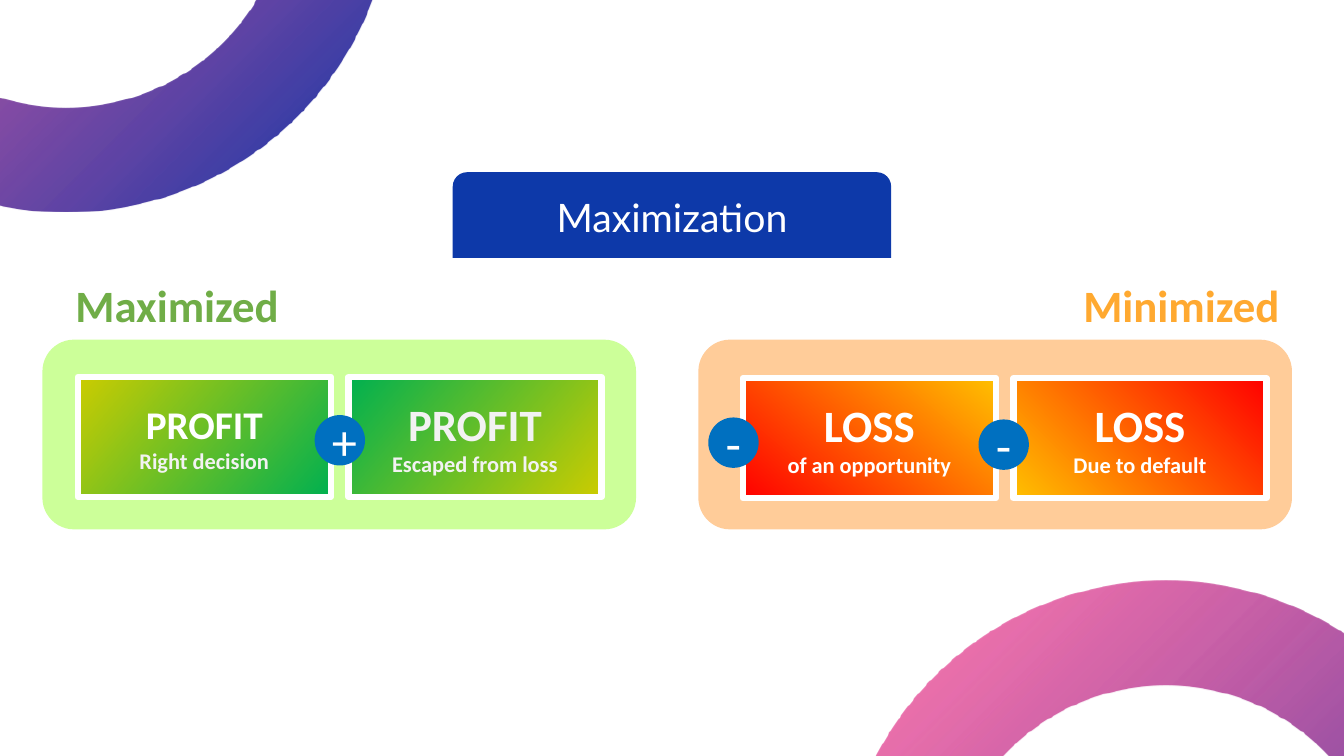
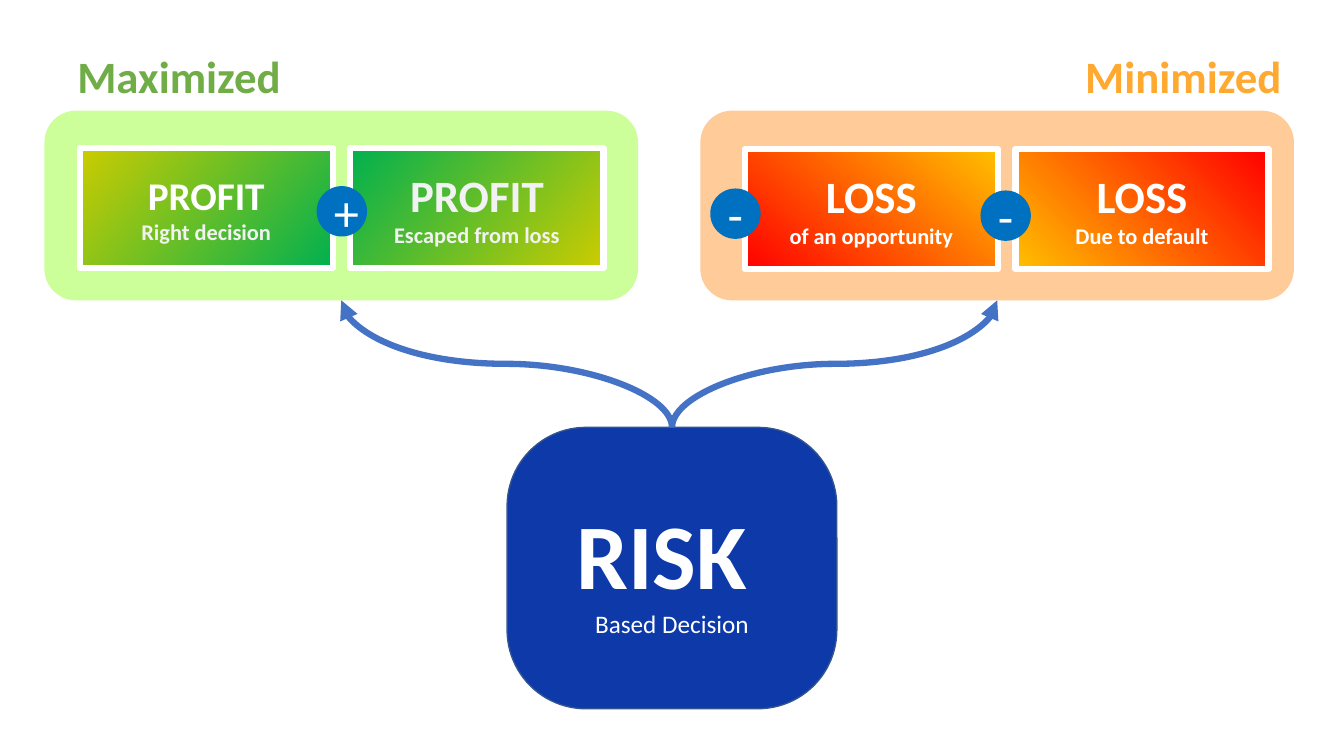
"""Build two slides that weigh maximized profit against minimized loss."""
from dataclasses import dataclass
from typing import Optional, Union

from lxml import etree
from pptx import Presentation
from pptx.dml.color import RGBColor
from pptx.enum.shapes import MSO_CONNECTOR, MSO_SHAPE
from pptx.enum.text import MSO_ANCHOR, MSO_AUTO_SIZE, PP_ALIGN
from pptx.oxml.ns import qn
from pptx.shapes.autoshape import Shape
from pptx.slide import Slide
from pptx.text.text import TextFrame
from pptx.util import Cm, Pt

RECTANGLE = MSO_SHAPE.RECTANGLE
ROUNDED = MSO_SHAPE.ROUNDED_RECTANGLE
ROUND_TOP = MSO_SHAPE.ROUND_2_SAME_RECTANGLE
CIRCLE = MSO_SHAPE.OVAL
RING = MSO_SHAPE.DONUT
CURVE = MSO_CONNECTOR.CURVE
LEFT, CENTER = PP_ALIGN.LEFT, PP_ALIGN.CENTER
MIDDLE = MSO_ANCHOR.MIDDLE
GROW = MSO_AUTO_SIZE.SHAPE_TO_FIT_TEXT
TOP_SITE, BOTTOM_SITE = 0, 2
BLANK_LAYOUT = 6


@dataclass(frozen=True)
class Gradient:
    start: str
    end: str
    angle: int
    end_position: float = 1.0
    start_opacity: int = 100


@dataclass(frozen=True)
class Theme:
    font: str = "Calibri"
    banner_font: str = "Lato"
    white: str = "FFFFFF"
    off_white: str = "F2F2F2"
    navy: str = "0D39A9"
    navy_edge: str = "325491"
    badge: str = "0070C0"
    arrow: str = "4472C4"
    profit_panel: str = "CCFF99"
    profit_heading: str = "70AD47"
    loss_panel: str = "FFCC99"
    loss_heading: str = "FFA930"
    ring: Gradient = Gradient("FF0066", "0D39A9", 315, 0.99, 50)
    risk_size: int = 66
    badge_size: int = 36
    heading_size: int = 32
    small_heading_size: int = 28
    note_size: int = 18
    detail_size: int = 16
    thick: float = 4.5


THEME = Theme()
Fill = Union[str, Gradient]


@dataclass(frozen=True)
class Box:
    left: float
    top: float
    width: float
    height: float

    def lengths(self) -> tuple[Cm, Cm, Cm, Cm]:
        return Cm(self.left), Cm(self.top), Cm(self.width), Cm(self.height)


@dataclass(frozen=True)
class Card:
    title: str
    detail: str
    fill: Gradient
    title_size: int = THEME.heading_size
    title_color: str = THEME.white
    detail_color: str = THEME.white


@dataclass(frozen=True)
class Badge:
    sign: str
    left: float
    top: float


@dataclass(frozen=True)
class Panel:
    left: float
    color: str
    heading: str
    heading_color: str
    heading_left: float
    heading_width: float
    card_left: float
    card_top: float
    cards: tuple[Card, ...]
    badges: tuple[Badge, ...]


SLIDE_WIDTH, SLIDE_HEIGHT = 33.87, 19.05
PANEL_WIDTH, PANEL_HEIGHT = 14.96, 4.78
CARD_WIDTH, CARD_HEIGHT, CARD_PITCH = 6.38, 3.02, 6.82
HEADING_RISE, HEADING_HEIGHT = 1.68, 1.63
BADGE_DIAMETER = 1.27
RING_DIAMETER = 16.48
RING_CORNERS = ((-6.58, -11.15), (21.13, 14.63))
BANNER_WIDTH, RISK_WIDTH = 11.05, 8.31

PANELS = (
    Panel(
        1.07, THEME.profit_panel, "Maximized", THEME.profit_heading,
        heading_left=0.58, heading_width=5.69, card_left=0.89, card_top=0.94,
        cards=(
            Card("PROFIT", "Right decision", Gradient("CCCC00", "00B050", 320),
                 title_size=THEME.small_heading_size, detail_color=THEME.off_white),
            Card("PROFIT", "Escaped from loss", Gradient("CCCC00", "00B050", 140),
                 title_color=THEME.off_white, detail_color=THEME.off_white),
        ),
        badges=(Badge("+", 6.86, 1.9),),
    ),
    Panel(
        17.6, THEME.loss_panel, "Minimized", THEME.loss_heading,
        heading_left=9.45, heading_width=5.51, card_left=1.12, card_top=0.97,
        cards=(
            Card("LOSS", "of an opportunity", Gradient("FFC000", "FF0000", 230)),
            Card("LOSS", "Due to default", Gradient("FFC000", "FF0000", 45)),
        ),
        badges=(Badge("-", 0.25, 1.96), Badge("-", 7.06, 2.01)),
    ),
)


def rgb(color: str) -> RGBColor:
    return RGBColor.from_string(color)


def write(frame: TextFrame, text: str, *, size: int, color: str = THEME.white,
          font: str = THEME.font, bold: bool = False, align: PP_ALIGN = CENTER) -> None:
    first = frame.paragraphs[0]
    paragraph = frame.add_paragraph() if first.runs else first
    paragraph.alignment = align
    run = paragraph.add_run()
    run.text = text
    run.font.name = font
    run.font.size = Pt(size)
    run.font.bold = bold
    run.font.color.rgb = rgb(color)


def paint(shape: Shape, fill: Fill) -> None:
    if isinstance(fill, str):
        shape.fill.solid()
        shape.fill.fore_color.rgb = rgb(fill)
        return
    shape.fill.gradient()
    shape.fill.gradient_angle = fill.angle
    start, end = shape.fill.gradient_stops
    start.color.rgb, start.position = rgb(fill.start), 0
    end.color.rgb, end.position = rgb(fill.end), fill.end_position
    if fill.start_opacity < 100:
        start_color = shape._element.spPr.find(".//" + qn("a:srgbClr"))
        alpha = etree.SubElement(start_color, qn("a:alpha"))
        alpha.set("val", str(fill.start_opacity * 1000))


def add_figure(slide: Slide, kind: MSO_SHAPE, box: Box, fill: Fill, *,
               edge: Optional[str] = None, edge_width: float = 1,
               roundness: Optional[float] = None) -> Shape:
    shape = slide.shapes.add_shape(kind, *box.lengths())
    shape.shadow.inherit = False
    paint(shape, fill)
    if edge:
        shape.line.color.rgb = rgb(edge)
        shape.line.width = Pt(edge_width)
    else:
        shape.line.fill.background()
    if roundness is not None:
        shape.adjustments[0] = roundness
    shape.text_frame.vertical_anchor = MIDDLE
    return shape


def add_panel(slide: Slide, panel: Panel, shift: float, top: float) -> Shape:
    left = panel.left + shift
    backdrop = add_figure(slide, ROUNDED, Box(left, top, PANEL_WIDTH, PANEL_HEIGHT), panel.color)
    for index, card in enumerate(panel.cards):
        place = Box(left + panel.card_left + index * CARD_PITCH, top + panel.card_top,
                    CARD_WIDTH, CARD_HEIGHT)
        frame = add_figure(slide, RECTANGLE, place, card.fill,
                           edge=THEME.white, edge_width=THEME.thick).text_frame
        write(frame, card.title, size=card.title_size, color=card.title_color, bold=True)
        write(frame, card.detail, size=THEME.detail_size, color=card.detail_color, bold=True)
    for badge in panel.badges:
        place = Box(left + badge.left, top + badge.top, BADGE_DIAMETER, BADGE_DIAMETER)
        write(add_figure(slide, CIRCLE, place, THEME.badge).text_frame,
              badge.sign, size=THEME.badge_size)
    heading = Box(left + panel.heading_left, top - HEADING_RISE,
                  panel.heading_width, HEADING_HEIGHT)
    frame = slide.shapes.add_textbox(*heading.lengths()).text_frame
    frame.word_wrap = False
    frame.auto_size = GROW
    write(frame, panel.heading, size=THEME.heading_size, color=panel.heading_color,
          bold=True, align=LEFT)
    return backdrop


def add_arrow(slide: Slide, source: Shape, target: Shape) -> None:
    arrow = slide.shapes.add_connector(CURVE, 0, 0, 0, 0)
    arrow.begin_connect(source, TOP_SITE)
    arrow.end_connect(target, BOTTOM_SITE)
    rightward = arrow.end_x > arrow.begin_x
    center_x = (arrow.begin_x + arrow.end_x) // 2
    center_y = (arrow.begin_y + arrow.end_y) // 2
    arrow.width, arrow.height = arrow.height, arrow.width
    arrow.left = center_x - arrow.width // 2
    arrow.top = center_y - arrow.height // 2
    properties = arrow._element.spPr
    turn = properties.find(qn("a:xfrm"))
    turn.set("rot", str((90 if rightward else 270) * 60000))
    turn.set("flipH", "1" if rightward else "0")
    turn.set("flipV", "1")
    arrow.line.color.rgb = rgb(THEME.arrow)
    arrow.line.width = Pt(THEME.thick)
    etree.SubElement(properties.find(qn("a:ln")), qn("a:tailEnd")).set("type", "triangle")
    etree.SubElement(properties, qn("a:effectLst"))


def build_maximization(slide: Slide) -> None:
    for panel in PANELS:
        add_panel(slide, panel, shift=0, top=8.56)
    place = Box((SLIDE_WIDTH - BANNER_WIDTH) / 2, 4.34, BANNER_WIDTH, 2.16)
    banner = add_figure(slide, ROUND_TOP, place, THEME.navy)
    write(banner.text_frame, "Maximization", size=THEME.small_heading_size,
          font=THEME.banner_font)
    for left, top in RING_CORNERS:
        add_figure(slide, RING, Box(left, top, RING_DIAMETER, RING_DIAMETER),
                   THEME.ring, roundness=0.16)


def build_risk(slide: Slide) -> None:
    backdrops = [add_panel(slide, panel, shift=0.05, top=2.79) for panel in PANELS]
    place = Box((SLIDE_WIDTH - RISK_WIDTH) / 2, 10.77, RISK_WIDTH, 7.09)
    risk = add_figure(slide, ROUNDED, place, THEME.navy, edge=THEME.navy_edge, roundness=0.28)
    write(risk.text_frame, "RISK ", size=THEME.risk_size, bold=True)
    write(risk.text_frame, "Based Decision", size=THEME.note_size)
    for backdrop in backdrops:
        add_arrow(slide, risk, backdrop)


def main() -> None:
    deck = Presentation()
    deck.slide_width, deck.slide_height = Cm(SLIDE_WIDTH), Cm(SLIDE_HEIGHT)
    for build in (build_maximization, build_risk):
        build(deck.slides.add_slide(deck.slide_layouts[BLANK_LAYOUT]))
    deck.save("out.pptx")


if __name__ == "__main__":
    main()
